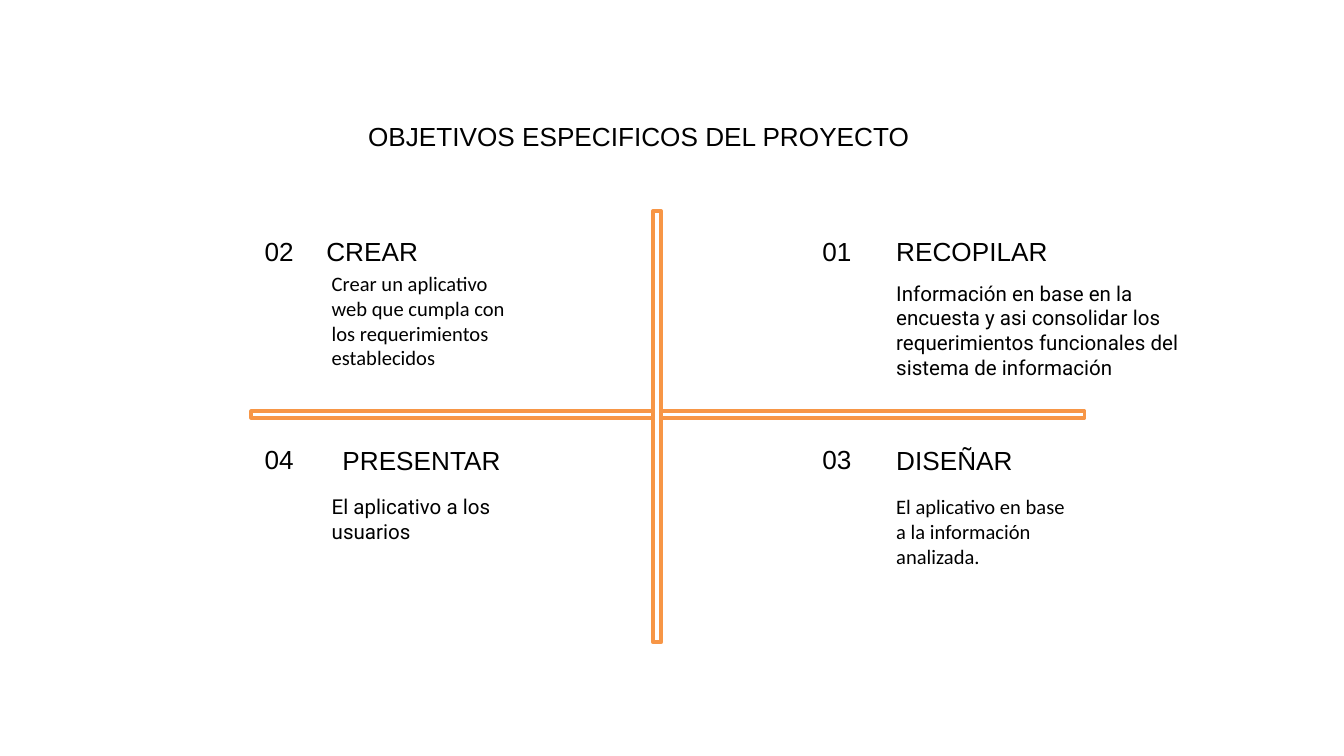
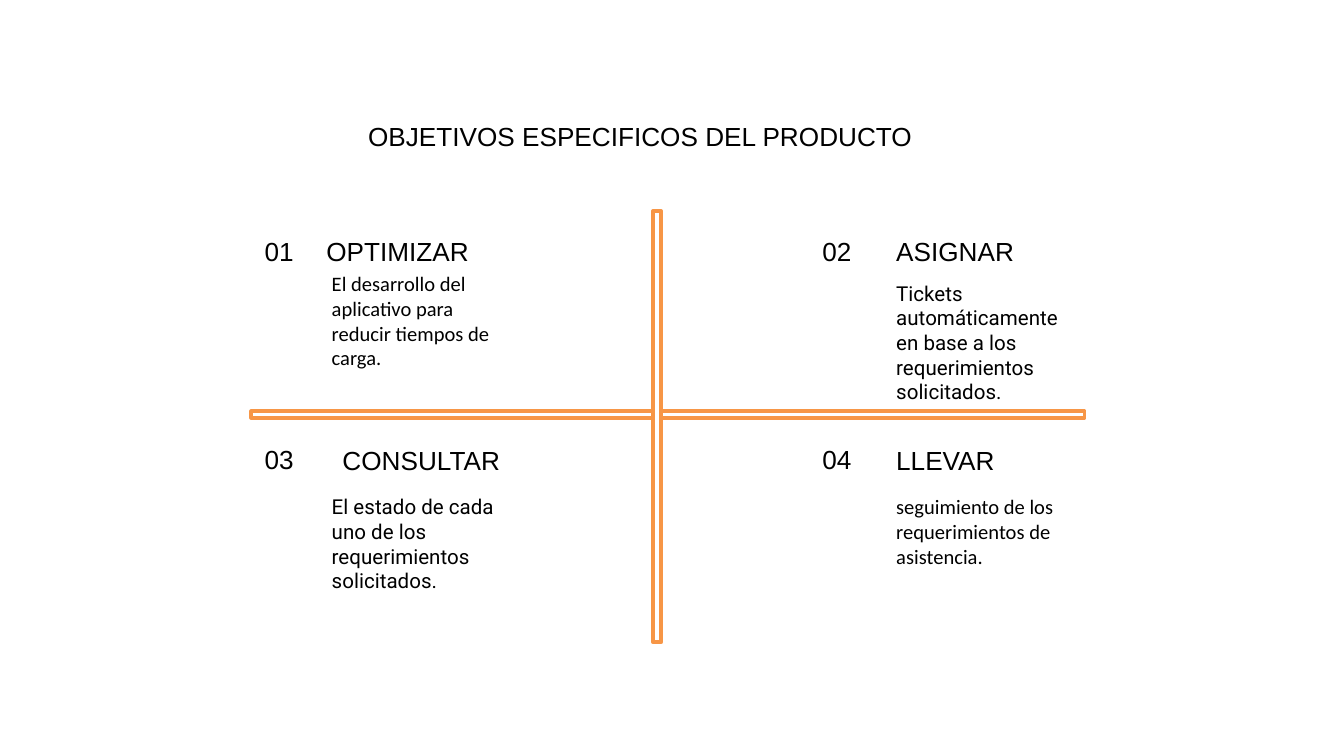
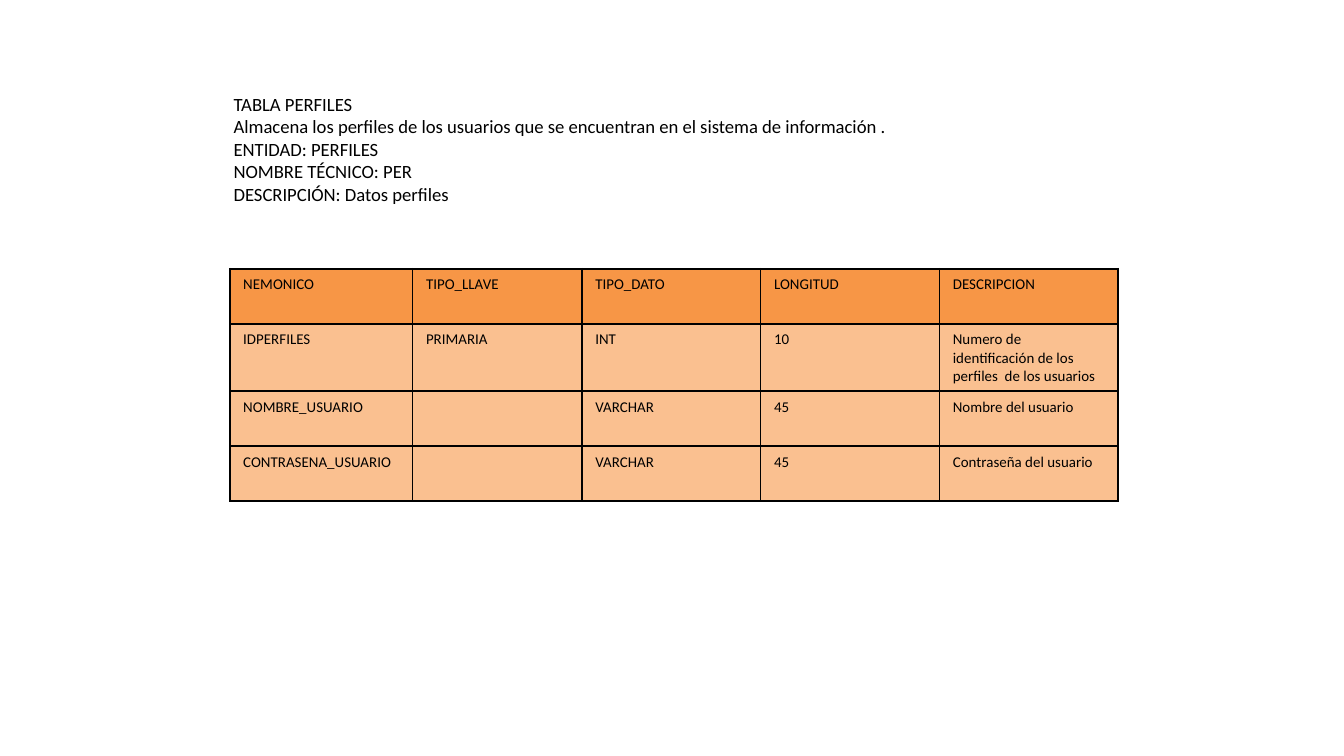
from lxml import etree
from pptx import Presentation
from pptx import util as u
from pptx.dml.color import RGBColor
from pptx.enum import shapes, text
from pptx.oxml.ns import qn

INK = {"text": "000000", "bar": "F79646", "core": "FFFFFF",
       "head": "F79646", "row": "FAC090", "edge": "000000"}


def style(frame, font, size):
    for para in frame.paragraphs:
        for run in para.runs:
            run.font.name = font
            run.font.size = u.Pt(size)
            run.font.color.rgb = RGBColor.from_string(INK["text"])


def label(slide, words, box, font="Arial", size=14):
    """Add a wrapped text box; box is left, top, width, height in inches."""
    frame = slide.shapes.add_textbox(*map(u.Inches, box)).text_frame
    frame.word_wrap = True
    frame.auto_size = text.MSO_AUTO_SIZE.SHAPE_TO_FIT_TEXT
    frame.text = words
    style(frame, font, size)
    return frame


deck = Presentation()
deck.slide_width, deck.slide_height = u.Inches(10), u.Inches(10 * 9 / 16)
blank = deck.slide_layouts[6]

# Quadrants: number spot, heading spot, body spot, body font
quads = [
    ((1.87, 1.7), (2.33, 1.7), (2.37, 1.97), "Calibri"),
    ((6.02, 1.7), (6.57, 1.7), (6.57, 2.04), "Roboto"),
    ((1.87, 3.25), (2.45, 3.26), (2.37, 3.63), "Roboto"),
    ((6.02, 3.25), (6.57, 3.26), (6.57, 3.63), "Calibri"),
]
bars = [(1.87, 3.06, 6.2, 0.05), (4.86, 1.57, 0.06, 3.21)]

# Goals: number, heading, heading width, body, body width, body height
goals = {
    "OBJETIVOS ESPECIFICOS DEL PROYECTO": [
        ("02", "CREAR", 1.5, "Crear un aplicativo web que cumpla con los "
         "requerimientos establecidos", 1.5, 0.84),
        ("01", "RECOPILAR", 1.84, "Información en base en la encuesta y asi "
         "consolidar los requerimientos funcionales del sistema de información",
         2.53, 0.84),
        ("04", "PRESENTAR", 1.53, "El aplicativo a los usuarios", 1.5, 0.89),
        ("03", "DISEÑAR", 1.1, "El aplicativo en base a la información "
         "analizada.", 1.5, 0.66),
    ],
    "OBJETIVOS ESPECIFICOS DEL PRODUCTO": [
        ("01", "OPTIMIZAR", 1.5, "El desarrollo del aplicativo para reducir "
         "tiempos de carga.", 1.5, 0.84),
        ("02", "ASIGNAR", 1.1, "Tickets automáticamente en base a los "
         "requerimientos solicitados.", 1.5, 1.03),
        ("03", "CONSULTAR", 1.53, "El estado de cada uno de los "
         "requerimientos solicitados.", 1.5, 1.26),
        ("04", "LLEVAR", 1.1, "seguimiento de los requerimientos de "
         "asistencia.", 1.5, 0.66),
    ],
}

for title, items in goals.items():
    slide = deck.slides.add_slide(blank)
    label(slide, title, (2.64, 0.85, 4.9, 0.34))
    for quad, item in zip(quads, items):
        spot, top, low, font = quad
        num, head, wide, body, span, high = item
        label(slide, num, (*spot, 0.46, 0.34))
        label(slide, head, (*top, wide, 0.34))
        label(slide, body, (*low, span, high), font, 11)
    for box in bars:
        bar = slide.shapes.add_shape(shapes.MSO_SHAPE.RECTANGLE,
                                     *map(u.Inches, box))
        bar.shadow.inherit = False
        bar.fill.solid()
        bar.fill.fore_color.rgb = RGBColor.from_string(INK["core"])
        bar.line.color.rgb = RGBColor.from_string(INK["bar"])
        bar.line.width = u.Pt(2)

# Data dictionary of the profiles table
slide = deck.slides.add_slide(blank)
intro = label(slide, "\n".join([
    "TABLA PERFILES",
    "Almacena los perfiles de los usuarios que se encuentran en el sistema "
    "de información .",
    "ENTIDAD: PERFILES",
    "NOMBRE TÉCNICO: PER",
    "DESCRIPCIÓN: Datos perfiles",
]), (1.64, 0.59, 5.78, 1.04), "Calibri", 10)
intro.margin_left = intro.margin_right = u.Inches(0.1)
intro.margin_top = intro.margin_bottom = u.Inches(0.1)

rows = [
    ("NEMONICO", "TIPO_LLAVE", "TIPO_DATO", "LONGITUD", "DESCRIPCION"),
    ("IDPERFILES", "PRIMARIA", "INT", "10",
     "Numero de identificación de los perfiles  de los usuarios"),
    ("NOMBRE_USUARIO", "", "VARCHAR", "45", "Nombre del usuario"),
    ("CONTRASENA_USUARIO", "", "VARCHAR", "45", "Contraseña del usuario"),
]
wides = [1.36, 1.26, 1.33, 1.33, 1.33]
grid = slide.shapes.add_table(len(rows), len(wides), u.Inches(1.71), u.Inches(2),
                              u.Inches(sum(wides)), u.Inches(1.64)).table
for col, wide in zip(grid.columns, wides):
    col.width = u.Inches(wide)
for r, row in enumerate(rows):
    grid.rows[r].height = u.Inches(0.41)
    for c, words in enumerate(row):
        cell = grid.cell(r, c)
        cell.text = words
        style(cell.text_frame, "Calibri", 8)
        props = cell._tc.get_or_add_tcPr()
        for side in ("a:lnL", "a:lnR", "a:lnT", "a:lnB"):
            edge = etree.SubElement(props, qn(side), w=str(u.Pt(1)))
            paint = etree.SubElement(edge, qn("a:solidFill"))
            etree.SubElement(paint, qn("a:srgbClr"), val=INK["edge"])
        cell.fill.solid()
        cell.fill.fore_color.rgb = RGBColor.from_string(
            INK["row" if r else "head"])

deck.save("out.pptx")
